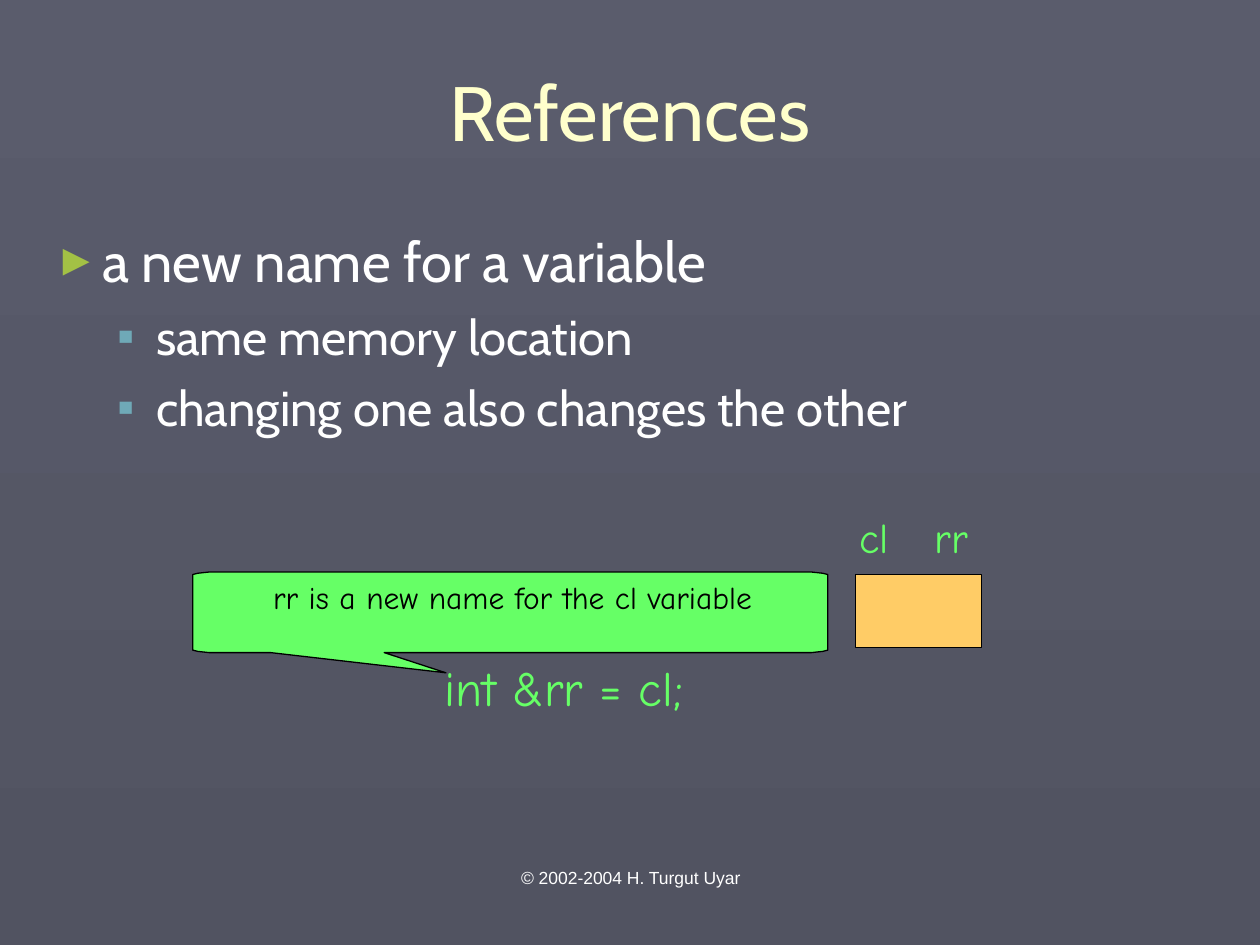
from lxml import etree
from pptx import Presentation
from pptx.dml.color import RGBColor
from pptx.enum import shapes, text
from pptx.oxml.ns import qn
from pptx.util import Inches, Pt


def color(code):
    return RGBColor.from_string(code)


def write(frame, line, size, face, code, align=text.PP_ALIGN.LEFT):
    """Fill the first paragraph of a frame and return it."""
    para = frame.paragraphs[0]
    para.text = line
    para.alignment = align
    para.space_before = Pt(0)
    para.font.size = Pt(size)
    para.font.name = face
    para.font.color.rgb = color(code)
    return para


deck = Presentation()
deck.slide_width, deck.slide_height = Inches(10), Inches(7.5)
slide = deck.slides.add_slide(deck.slide_layouts[1])

# Background
back = slide.background.fill
back.gradient()
back.gradient_angle = 270
for stop, code, place in zip(back.gradient_stops, ("5A5C6C", "515361"), (0, 1)):
    stop.color.rgb = color(code)
    stop.position = place

# Title
title = slide.shapes.title
title.left, title.top = Inches(0.33), Inches(0.25)
title.width, title.height = Inches(9.34), Inches(1.25)
title.text_frame.vertical_anchor = text.MSO_ANCHOR.MIDDLE
write(title.text_frame, "References", 44, "Cabin", "FFFFCC", text.PP_ALIGN.CENTER)

# Bullet list
body = slide.placeholders[1]
body.left, body.top = Inches(0.33), Inches(1.75)
body.width, body.height = Inches(9.34), Inches(4.92)
frame = body.text_frame
frame.auto_size = text.MSO_AUTO_SIZE.NONE
# level: margin, indent, bullet, bullet color, bullet size, text size
levels = [
    (0.38, -0.38, "►", "A3C145", 80, 32),
    (0.81, -0.31, "▪", "6FA9B7", 100, 28),
]
points = [
    (0, "a new name for a variable"),
    (1, "same memory location"),
    (1, "changing one also changes the other"),
]
for i, (level, line) in enumerate(points):
    margin, indent, mark, tint, scale, size = levels[level]
    para = frame.paragraphs[0] if i == 0 else frame.add_paragraph()
    para.text = line
    para.level = level
    para.space_before = Pt(7 if i else 0)
    props = para._p.get_or_add_pPr()
    props.set("marL", str(Inches(margin)))
    props.set("indent", str(Inches(indent)))
    fill = etree.SubElement(props, qn("a:buClr"))
    etree.SubElement(fill, qn("a:srgbClr"), val=tint)
    etree.SubElement(props, qn("a:buSzPct"), val=str(scale * 1000))
    etree.SubElement(props, qn("a:buFont"), typeface="Arial")
    etree.SubElement(props, qn("a:buChar"), char=mark)
    para.font.size = Pt(size)
    para.font.name = "Cabin"
    para.font.color.rgb = color("FFFFFF")

# Memory cell
cell = slide.shapes.add_shape(
    shapes.MSO_SHAPE.RECTANGLE, Inches(6.79), Inches(4.56), Inches(1), Inches(0.58)
)

# Callout with slightly cut corners and a pointer to the code
outline = [
    (1.66, 4.54), (1.57, 4.55), (1.53, 4.56), (1.53, 5.16), (1.57, 5.17),
    (1.66, 5.18), (2.15, 5.18), (3.54, 5.34), (3.05, 5.18), (6.44, 5.18),
    (6.53, 5.17), (6.57, 5.16), (6.57, 4.56), (6.53, 4.55), (6.44, 4.54),
]
dots = [(Inches(x), Inches(y)) for x, y in outline]
pen = slide.shapes.build_freeform(*dots[0])
pen.add_line_segments(dots[1:], close=True)
note = pen.convert_to_shape()
note.text_frame.word_wrap = True
note.text_frame.vertical_anchor = text.MSO_ANCHOR.TOP
para = write(
    note.text_frame, "rr is a new name for the cl variable", 18, "Comic Neue", "000000"
)
para._p.get_or_add_pPr().set("marL", str(Inches(0.54)))

for shape, code, width in ((cell, "FFCC66", 1), (note, "66FF66", 0.75)):
    shape.shadow.inherit = False
    shape.fill.solid()
    shape.fill.fore_color.rgb = color(code)
    shape.line.color.rgb = color("000000")
    shape.line.width = Pt(width)

# Variable names, code and footer
left, center = text.PP_ALIGN.LEFT, text.PP_ALIGN.CENTER
labels = [
    ("cl", 6.72, 3.97, 0.55, 0.54, 24, "Comic Neue", "66FF66", left, 1.1),
    ("rr", 7.32, 3.97, 0.55, 0.54, 24, "Comic Neue", "66FF66", left, 1.1),
    ("int &rr = cl;", 3.43, 5.17, 2.6, 0.57, 28, "Comic Neue", "66FF66", left, 1),
    ("© 2002-2004 H. Turgut Uyar", 3.42, 6.83, 3.17, 0.52, 10, "Arial", "FFFFFF", center, 1),
]
for line, x, y, w, h, size, face, code, align, gap in labels:
    box = slide.shapes.add_textbox(Inches(x), Inches(y), Inches(w), Inches(h))
    box.text_frame.word_wrap = True
    para = write(box.text_frame, line, size, face, code, align)
    para.line_spacing = float(gap)

deck.save("out.pptx")
